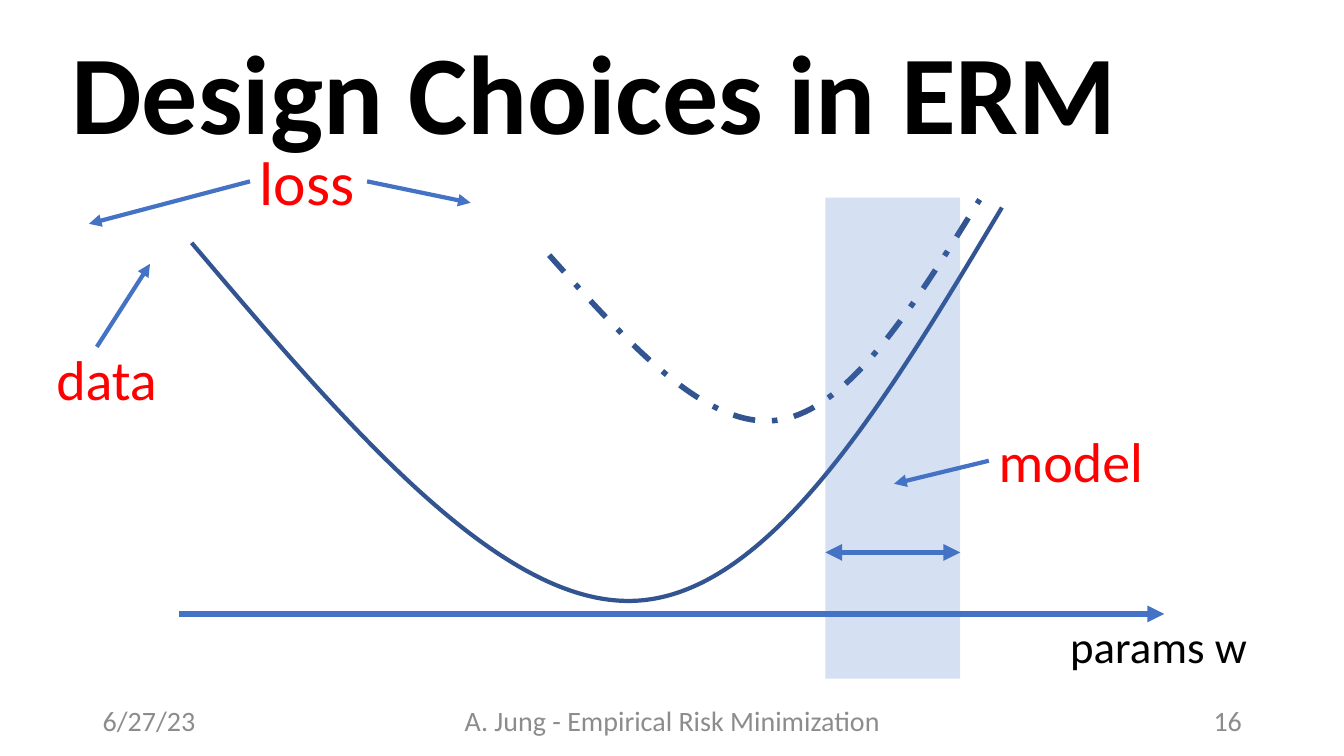
from lxml import etree
from pptx import Presentation
from pptx.dml.color import RGBColor
from pptx.enum import dml, shapes, text
from pptx.oxml.ns import qn
from pptx.util import Cm, Pt

COLORS = {
    "ink": "000000",
    "choice": "FF0000",
    "footer": "8C8C8C",
    "arrow": "4472C4",
    "curve": "325491",
}
FONT = "Calibri"
LEFT, CENTER, RIGHT = text.PP_ALIGN.LEFT, text.PP_ALIGN.CENTER, text.PP_ALIGN.RIGHT


def rgb(name):
    return RGBColor.from_string(COLORS[name])


def add_label(slide, words, box, size, color, align=LEFT, bold=False, wrap=False):
    """Wrapped labels sit in the middle of their box; others hug their text."""
    label = slide.shapes.add_textbox(*map(Cm, box))
    frame = label.text_frame
    frame.word_wrap = wrap
    if wrap:
        frame.vertical_anchor = text.MSO_ANCHOR.MIDDLE
    else:
        frame.auto_size = text.MSO_AUTO_SIZE.SHAPE_TO_FIT_TEXT
    paragraph = frame.paragraphs[0]
    paragraph.alignment = align
    run = paragraph.add_run()
    run.text = words
    run.font.name = FONT
    run.font.size = Pt(size)
    run.font.bold = bold
    run.font.color.rgb = rgb(color)
    return paragraph


def add_arrow(slide, start, end, width=3, both_ends=False):
    arrow = slide.shapes.add_connector(
        shapes.MSO_CONNECTOR.STRAIGHT, *map(Cm, start + end))
    arrow.line.color.rgb = rgb("arrow")
    arrow.line.width = Pt(width)
    outline = arrow.line._get_or_add_ln()
    for tip in ("a:headEnd", "a:tailEnd") if both_ends else ("a:tailEnd",):
        etree.SubElement(outline, qn(tip), type="triangle")
    etree.SubElement(arrow._element.spPr, qn("a:effectLst"))


def add_curve(slide, points, width, dash=None):
    """Draw a Bezier path: a start point, then three points per segment."""
    start, *controls = [(Cm(x), Cm(y)) for x, y in points]
    builder = slide.shapes.build_freeform(*start, scale=1.0)
    builder.add_line_segments(controls, close=False)
    curve = builder.convert_to_shape()
    route = curve._element.find(".//" + qn("a:path"))
    steps = route.findall(qn("a:lnTo"))
    for first in range(0, len(steps), 3):
        bezier = etree.SubElement(route, qn("a:cubicBezTo"))
        for step in steps[first:first + 3]:
            bezier.append(step[0])
            route.remove(step)
    curve.shadow.inherit = False
    curve.fill.background()
    curve.line.color.rgb = rgb("curve")
    curve.line.width = Pt(width)
    if dash:
        curve.line.dash_style = dash


def add_band(slide, box, opacity):
    band = slide.shapes.add_shape(shapes.MSO_SHAPE.RECTANGLE, *map(Cm, box))
    band.shadow.inherit = False
    band.fill.solid()
    band.fill.fore_color.rgb = rgb("arrow")
    tint = band._element.spPr.find(qn("a:solidFill"))[0]
    etree.SubElement(tint, qn("a:alpha"), val=str(opacity * 1000))
    band.line.fill.background()


def add_footer(slide):
    for words, left, width, align in (
        ("6/27/23", 2.34, 7.62, LEFT),
        ("A. Jung - Empirical Risk Minimization", 11.23, 11.43, CENTER),
        ("16", 23.93, 7.62, RIGHT),
    ):
        add_label(slide, words, (left, 17.65, width, 1.02), 20, "footer",
                  align, wrap=True)


def main():
    deck = Presentation()
    deck.slide_width, deck.slide_height = Cm(33.87), Cm(19.05)
    slide = deck.slides.add_slide(deck.slide_layouts[6])

    title = add_label(slide, "Design Choices in ERM", (1.55, 0.64, 30.76, 3.68),
                      80, "ink", bold=True, wrap=True)
    title.line_spacing = 0.9
    add_footer(slide)

    add_arrow(slide, (4.52, 15.47), (29.34, 15.47), width=4)
    add_label(slide, "params w", (26.72, 15.47, 5, 1.63), 32, "ink")

    add_curve(slide, [(4.83, 6.12), (8.71, 10.69), (12.6, 15.29), (16, 15.14),
                      (19.41, 14.99), (22.33, 10.11), (25.25, 5.23)], 3)
    add_curve(slide, [(13.84, 6.43), (15.82, 8.64), (17.78, 10.82), (19.58, 10.59),
                      (21.39, 10.36), (23.04, 7.7), (24.69, 5.03)], 4,
              dml.MSO_LINE.DASH_DOT)

    add_band(slide, (20.8, 4.98, 3.4, 12.12), opacity=22)
    add_arrow(slide, (20.8, 13.92), (24.2, 13.92), width=4, both_ends=True)

    choices = (
        ("data", (1.17, 8.56, 3.07, 1.96), 40, [((2.44, 8.74), (3.78, 6.65))]),
        ("loss", (6.3, 3.51, 2.92, 2.13), 44, [((9.25, 4.57), (11.86, 5.11)),
                                               ((6.3, 4.57), (2.24, 5.64))]),
        ("model", (24.92, 10.62, 4.19, 1.96), 40, [((24.92, 11.61), (22.53, 12.19))]),
    )
    for words, box, size, arrows in choices:
        add_label(slide, words, box, size, "choice")
        for start, end in arrows:
            add_arrow(slide, start, end)

    deck.save("out.pptx")


if __name__ == "__main__":
    main()
